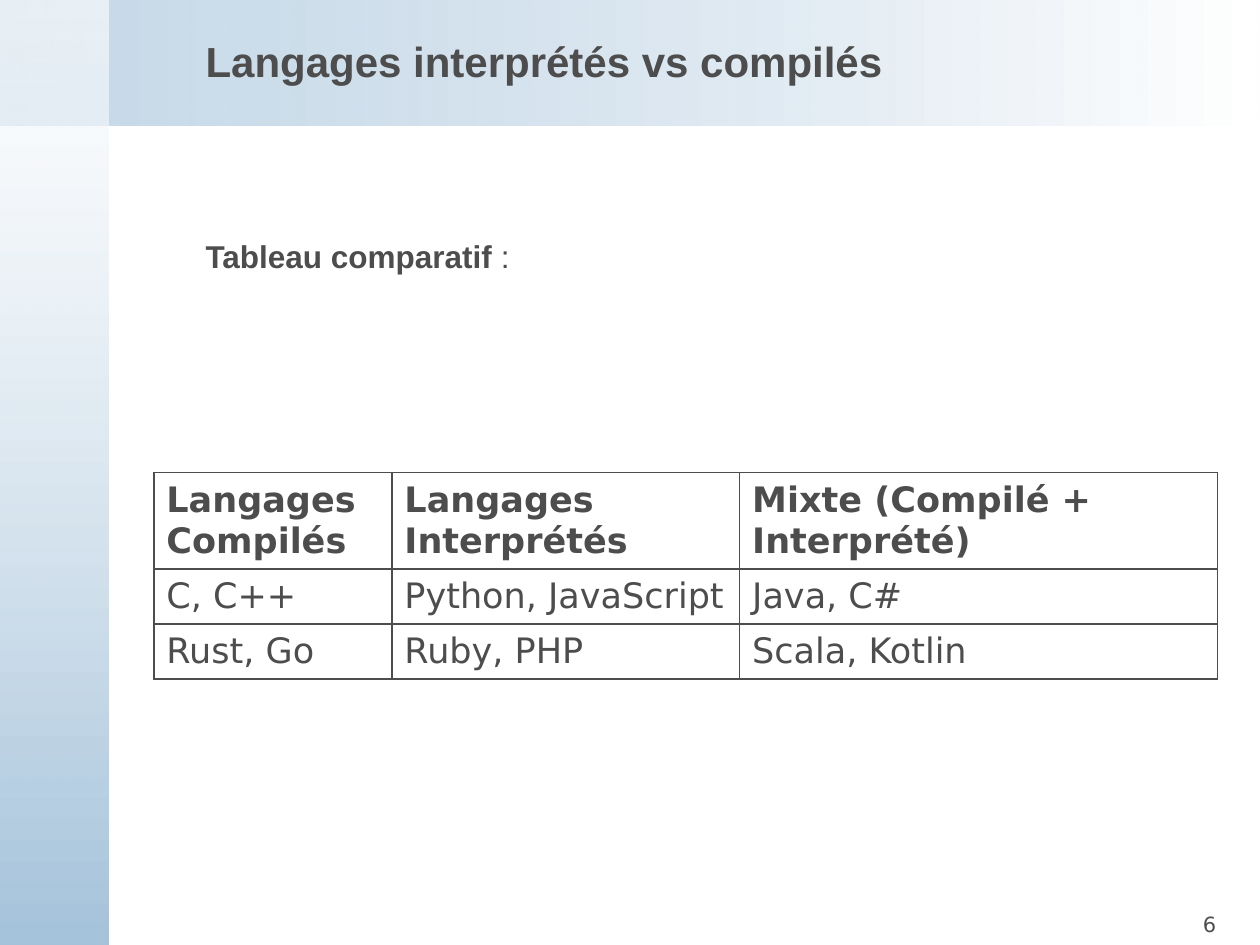
from lxml.etree import SubElement
from pptx import Presentation
from pptx.dml.color import RGBColor
from pptx.enum.shapes import MSO_SHAPE
from pptx.enum.text import MSO_ANCHOR, MSO_AUTO_SIZE, PP_ALIGN
from pptx.oxml import parse_xml
from pptx.oxml.ns import nsdecls, qn
from pptx.util import Cm, Pt

GREY = RGBColor(0x4D, 0x4D, 0x4D)
BLUE = RGBColor(0xA5, 0xC3, 0xDB)
WHITE = RGBColor(0xFF, 0xFF, 0xFF)
SANS = "DejaVu Sans"
ROWS = [
    ("Langages Compilés", "Langages Interprétés", "Mixte (Compilé + Interprété)"),
    ("C, C++", "Python, JavaScript", "Java, C#"),
    ("Rust, Go", "Ruby, PHP", "Scala, Kotlin"),
]


def place(shape, box):
    """Move a shape to a box of left, top, width and height in centimetres."""
    shape.left, shape.top, shape.width, shape.height = map(Cm, box)


def write(para, text, size, font, bold=False):
    """Add one formatted run to a paragraph."""
    run = para.add_run()
    run.text = text
    run.font.size = Pt(size)
    run.font.name = font
    run.font.bold = bold
    run.font.color.rgb = GREY


def add_band(slide, box, colors, angle, alpha):
    """Add a gradient band whose first stop is partly transparent."""
    band = slide.shapes.add_shape(MSO_SHAPE.RECTANGLE, *map(Cm, box))
    band.shadow.inherit = False
    band.line.fill.background()
    band.fill.gradient()
    band.fill.gradient_angle = angle
    for stop, color in zip(band.fill.gradient_stops, colors):
        stop.color.rgb = color
    first = next(band._element.spPr.iter(qn("a:srgbClr")))
    SubElement(first, qn("a:alpha"), val=str(alpha * 1000))
    return band


def add_decor(slide):
    """Put the top and side bands behind the placeholders."""
    top = add_band(slide, (0, 0, 25.4, 2.54), (BLUE, WHITE), 0, 62)
    side = add_band(slide, (0, 0, 2.18, 19.05), (WHITE, BLUE), 270, 59)
    tree = slide.shapes._spTree
    for pos, band in enumerate((top, side), 2):
        tree.insert(pos, band._element)


def fill_text(shape, box, runs, size):
    """Place a placeholder and fill it with one line of runs."""
    place(shape, box)
    frame = shape.text_frame
    frame.word_wrap = False
    frame.auto_size = MSO_AUTO_SIZE.NONE
    frame.vertical_anchor = MSO_ANCHOR.MIDDLE
    para = frame.paragraphs[0]
    props = para._p.get_or_add_pPr()
    props.set("marL", "0")
    props.set("indent", "0")
    SubElement(props, qn("a:buNone"))
    para.alignment = PP_ALIGN.LEFT
    para.space_before = Pt(0)
    for text, bold in runs:
        write(para, text, size, "Arial", bold)


def add_edges(cell):
    """Draw a thin grey line on each side of a cell."""
    props = cell._tc.get_or_add_tcPr()
    for pos, side in enumerate("LRTB"):
        props.insert(pos, parse_xml(
            f'<a:ln{side} {nsdecls("a")} w="12700"><a:solidFill>'
            f'<a:srgbClr val="{GREY}"/></a:solidFill></a:ln{side}>'))


def add_grid(slide, left, top, widths, heights):
    """Add the comparison table at the given corner."""
    size = (left, top, sum(widths), sum(heights))
    table = slide.shapes.add_table(len(heights), len(widths), *map(Cm, size)).table
    table.first_row = table.horz_banding = False
    for col, width in zip(table.columns, widths):
        col.width = Cm(width)
    for r, (row, height) in enumerate(zip(table.rows, heights)):
        row.height = Cm(height)
        for cell, text in zip(row.cells, ROWS[r]):
            cell.fill.background()
            cell.vertical_anchor = MSO_ANCHOR.MIDDLE
            write(cell.text_frame.paragraphs[0], text, 20, SANS, r == 0)
            add_edges(cell)


def add_number(slide, box):
    """Add the page number."""
    frame = slide.shapes.add_textbox(*map(Cm, box)).text_frame
    frame.word_wrap = True
    write(frame.paragraphs[0], "6", 12, SANS)


def main():
    """Build and save the slide."""
    deck = Presentation()
    deck.slide_width, deck.slide_height = Cm(25.4), Cm(19.05)
    slide = deck.slides.add_slide(deck.slide_layouts[1])
    title, body = slide.placeholders
    add_decor(slide)
    fill_text(title, (3.89, 0.53, 14.3, 1.4),
              [("Langages interprétés vs compilés", True)], 24)
    fill_text(body, (3.89, 4.6, 14.3, 1.1),
              [("Tableau comparatif", True), (" :", False)], 18)
    add_grid(slide, 3.1, 9.53, (4.8, 7.01, 9.63), (1.94, 1.11, 1.11))
    add_number(slide, (24, 18.26, 1.4, 0.76))
    deck.save("out.pptx")


if __name__ == "__main__":
    main()
